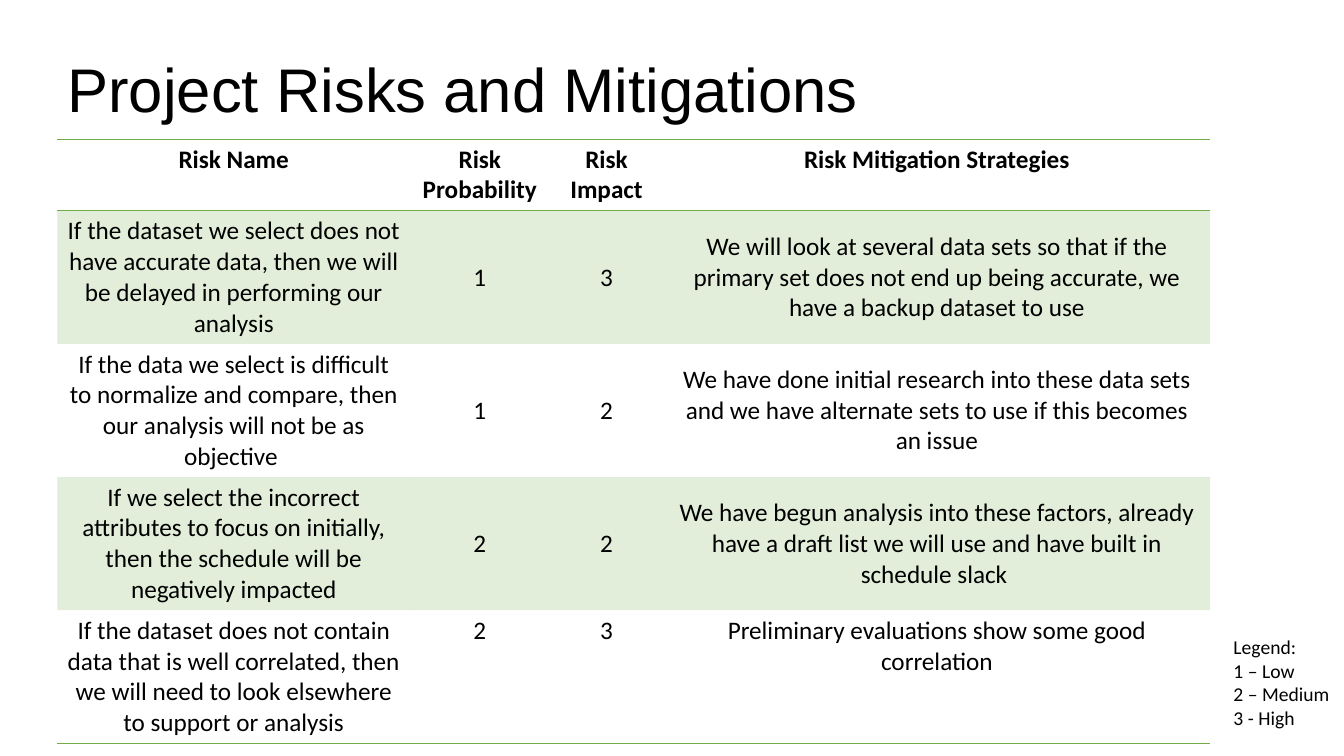
"""Build the project risks and mitigations slide."""
import lxml.etree
import pptx
import pptx.dml.color
import pptx.enum.text
import pptx.oxml.ns
import pptx.util

Pt = pptx.util.Pt
qn = pptx.oxml.ns.qn
PP_ALIGN = pptx.enum.text.PP_ALIGN
ANCHOR = pptx.enum.text.MSO_ANCHOR

COLORS = {"text": "000000", "green": "70AD47"}
PLAIN_TABLE_STYLE = "{2D5ABB26-0587-4C30-8999-92F81FD0307C}"
COLUMN_WIDTHS = (252, 99.5, 81.5, 390.5)
HEADER_HEIGHT, RISK_HEIGHT = 51, 95
RISKS = [
    ("Risk Name", "Risk Probability", "Risk Impact", "Risk Mitigation Strategies"),
    ("If the dataset we select does not have accurate data, then we will be "
     "delayed in performing our analysis", "1", "3",
     "We will look at several data sets so that if the primary set does not end "
     "up being accurate, we have a backup dataset to use"),
    ("If the data we select is difficult to normalize and compare, then our "
     "analysis will not be as objective ", "1", "2",
     "We have done initial research into these data sets and we have alternate "
     "sets to use if this becomes an issue"),
    ("If we select the incorrect attributes to focus on initially, then the "
     "schedule will be negatively impacted", "2", "2",
     "We have begun analysis into these factors, already have a draft list we "
     "will use and have built in schedule slack "),
    ("If the dataset does not contain data that is well correlated, then we will "
     "need to look elsewhere to support or analysis", "2", "3",
     "Preliminary evaluations show some good correlation"),
]
LEGEND = ("Legend:", "1 – Low", "2 – Medium", "3 - High")


def rgb(name):
    """Return the named colour."""
    return pptx.dml.color.RGBColor.from_string(COLORS[name])


def format_text(frame, font, size, align, bold=False):
    """Format every paragraph and run of a text frame."""
    for paragraph in frame.paragraphs:
        paragraph.alignment = align
        for run in paragraph.runs:
            run.font.name = font
            run.font.size = Pt(size)
            run.font.bold = bold
            run.font.color.rgb = rgb("text")


def add_border(cell, side):
    """Draw a thin green line on one side of a cell."""
    properties = cell._tc.get_or_add_tcPr()
    line = lxml.etree.SubElement(properties, qn(f"a:ln{side}"), w=str(Pt(1)))
    fill = lxml.etree.SubElement(line, qn("a:solidFill"))
    lxml.etree.SubElement(fill, qn("a:srgbClr"), val=COLORS["green"])


def fill_cell(cell, banded):
    """Give a cell a pale green band or no fill."""
    if not banded:
        cell.fill.background()
        return
    cell.fill.solid()
    cell.fill.fore_color.rgb = rgb("green")
    color = cell._tc.tcPr.find(qn("a:solidFill")).find(qn("a:srgbClr"))
    lxml.etree.SubElement(color, qn("a:alpha"), val="20000")


def add_title(slide):
    """Place and format the title."""
    title = slide.shapes.title
    title.left, title.top, title.width, title.height = Pt(41), Pt(13.7), Pt(828), Pt(104.4)
    frame = title.text_frame
    frame.text = "Project Risks and Mitigations"
    frame.vertical_anchor = ANCHOR.MIDDLE
    frame.paragraphs[0].line_spacing = 0.9
    format_text(frame, "Arial", 44, PP_ALIGN.LEFT)


def add_risk_table(slide):
    """Add the table of risks with its bands and rules."""
    last = len(RISKS) - 1
    frame = slide.shapes.add_table(
        len(RISKS), len(COLUMN_WIDTHS), Pt(41), Pt(99.4),
        Pt(sum(COLUMN_WIDTHS)), Pt(HEADER_HEIGHT + last * RISK_HEIGHT))
    table = frame.table
    table._tbl.tblPr.find(qn("a:tableStyleId")).text = PLAIN_TABLE_STYLE
    for column, width in zip(table.columns, COLUMN_WIDTHS):
        column.width = Pt(width)
    for number, risk in enumerate(RISKS):
        header = number == 0
        table.rows[number].height = Pt(HEADER_HEIGHT if header else RISK_HEIGHT)
        for cell, text in zip(table.rows[number].cells, risk):
            cell.text_frame.text = text
            format_text(cell.text_frame, "Calibri", 18, PP_ALIGN.CENTER, header)
            cell.vertical_anchor = ANCHOR.TOP if number in (0, last) else ANCHOR.MIDDLE
            if header:
                add_border(cell, "T")
            if number in (0, last):
                add_border(cell, "B")
            fill_cell(cell, number % 2 == 1)


def add_legend(slide):
    """Add the legend of risk levels."""
    legend = slide.shapes.add_textbox(Pt(874), Pt(450), Pt(86.4), Pt(74.9))
    frame = legend.text_frame
    frame.word_wrap = True
    frame.auto_size = pptx.enum.text.MSO_AUTO_SIZE.SHAPE_TO_FIT_TEXT
    frame.text = "\n".join(LEGEND)
    format_text(frame, "Calibri", 14, PP_ALIGN.LEFT)


def main():
    """Build and save the slide."""
    presentation = pptx.Presentation()
    presentation.slide_width, presentation.slide_height = Pt(960), Pt(540)
    slide = presentation.slides.add_slide(presentation.slide_layouts[5])
    add_title(slide)
    add_risk_table(slide)
    add_legend(slide)
    presentation.save("out.pptx")


if __name__ == "__main__":
    main()
